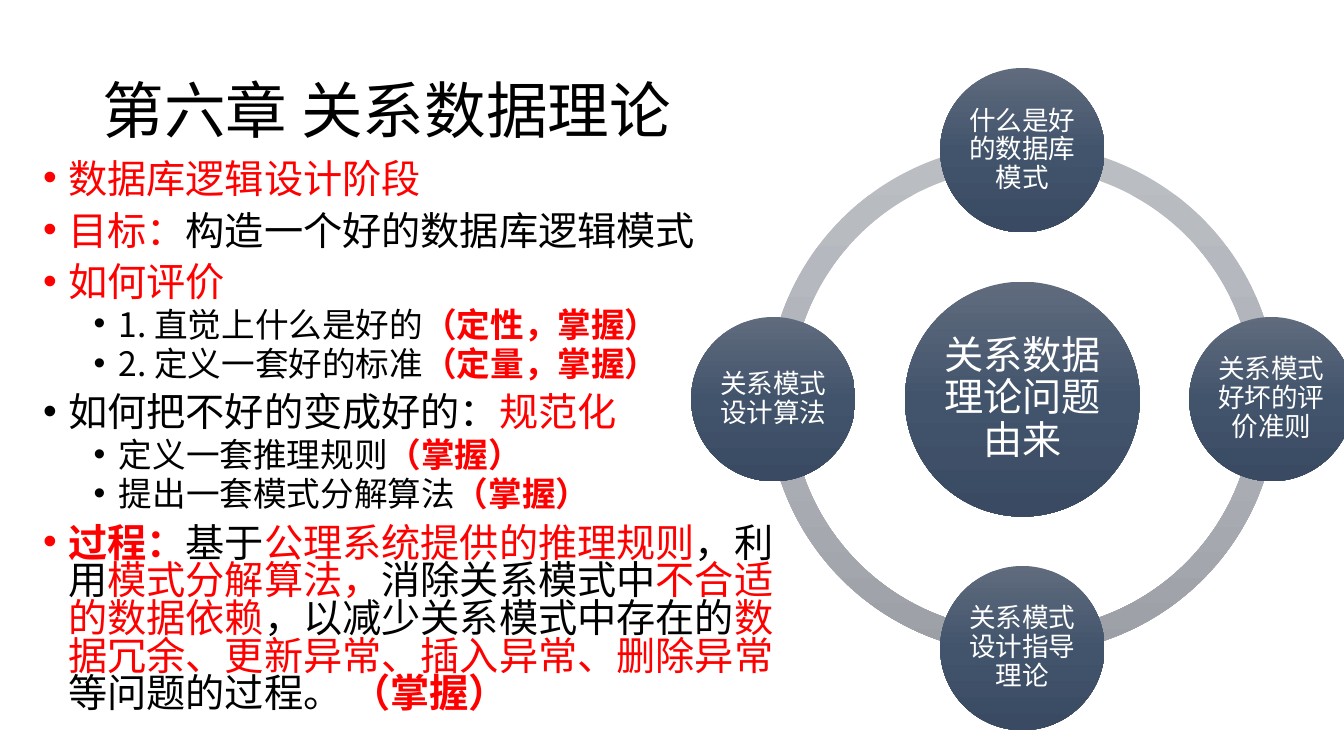
from dataclasses import dataclass
from math import cos, pi, sin

from copy import deepcopy
from lxml.etree import SubElement
from pptx import Presentation
from pptx.dml.color import RGBColor
from pptx.enum.shapes import MSO_SHAPE
from pptx.enum.text import MSO_ANCHOR, PP_ALIGN
from pptx.oxml.ns import qn
from pptx.util import Inches, Pt


@dataclass(frozen=True)
class Theme:
    """Fonts, colours and type sizes."""
    face: str = "Noto Sans CJK SC"
    black: str = "000000"
    red: str = "FF0000"
    white: str = "FFFFFF"
    ring: tuple = ("BABDC2", "B0B3BA", "9C9FA6")
    disc: tuple = ("606B7D", "42546C", "394A62")
    title: int = 44
    body: int = 28
    sub: int = 24
    node: int = 19


class Board:
    """Draws styled elements on one slide."""

    def __init__(self, slide, theme):
        """Keep the slide and its theme."""
        self.slide = slide
        self.theme = theme

    def style(self, para, size, space, color=None):
        """Set the font and line spacing of a paragraph."""
        para.line_spacing = space
        font = para.font
        font.size = Pt(size)
        if color:
            font.color.rgb = RGBColor.from_string(color)
        font.name = self.theme.face
        props = para._p.pPr.find(qn("a:defRPr"))
        SubElement(props, qn("a:ea"), typeface=self.theme.face)

    def box(self, left, top, width, height, anchor):
        """Add a wrapping text box and return its frame."""
        area = [Inches(n) for n in (left, top, width, height)]
        frame = self.slide.shapes.add_textbox(*area).text_frame
        frame.word_wrap = True
        frame.vertical_anchor = anchor
        return frame

    def title(self, text, *area):
        """Add the heading."""
        para = self.box(*area, MSO_ANCHOR.MIDDLE).paragraphs[0]
        para.text = text
        self.style(para, self.theme.title, 0.9, self.theme.black)

    def bullets(self, items, *area):
        """Add a list of (level, runs); a run is (text, colour, bold)."""
        frame = self.box(*area, MSO_ANCHOR.TOP)
        for i, (level, runs) in enumerate(items):
            para = frame.add_paragraph() if i else frame.paragraphs[0]
            para.level = level
            props = para._p.get_or_add_pPr()
            props.set("marL", str(Inches(0.25 + level * 0.5)))
            props.set("indent", str(Inches(-0.25)))
            SubElement(props, qn("a:buFont"), typeface="Arial")
            SubElement(props, qn("a:buChar"), char="•")
            para.space_before = Pt(5 if level else 10)
            self.style(para, self.theme.sub if level else self.theme.body, 0.8)
            for text, color, bold in runs:
                run = para.add_run()
                run.text = text
                run.font.color.rgb = RGBColor.from_string(color)
                run.font.bold = bold

    def shape(self, kind, x, y, size, colors):
        """Add a square shape centred on x, y with a downward gradient."""
        left, top = Inches(x - size / 2), Inches(y - size / 2)
        shape = self.slide.shapes.add_shape(
            kind, left, top, Inches(size), Inches(size))
        shape.shadow.inherit = False
        shape.line.fill.background()
        shape.fill.gradient()
        shape.fill.gradient_angle = 270
        stops = shape.fill._xPr.find(qn("a:gradFill")).find(qn("a:gsLst"))
        stops.append(deepcopy(stops[0]))
        for i, (stop, color) in enumerate(zip(shape.fill.gradient_stops, colors)):
            stop.position = i / 2
            stop.color.rgb = RGBColor.from_string(color)
        return shape

    def arc(self, x, y, size, start):
        """Add a quarter of the ring from a start angle in degrees."""
        arc = self.shape(MSO_SHAPE.BLOCK_ARC, x, y, size, self.theme.ring)
        ends = [angle % 360 * 0.6 for angle in (start, start + 90)]
        for i, value in enumerate((*ends, 0.046)):
            arc.adjustments[i] = value

    def disc(self, text, x, y, size, points, inset):
        """Add a labelled circle."""
        disc = self.shape(MSO_SHAPE.OVAL, x, y, size, self.theme.disc)
        frame = disc.text_frame
        frame.word_wrap = True
        frame.vertical_anchor = MSO_ANCHOR.MIDDLE
        frame.margin_left = frame.margin_right = Inches(inset)
        frame.margin_top = frame.margin_bottom = Inches(inset)
        para = frame.paragraphs[0]
        para.text = text
        para.alignment = PP_ALIGN.CENTER
        self.style(para, points, 0.9, self.theme.white)


THEME = Theme()


def plain(text):
    """Black run."""
    return text, THEME.black, False


def red(text):
    """Red run."""
    return text, THEME.red, False


def bold(text):
    """Bold red run."""
    return text, THEME.red, True


POINTS = [
    (0, [red("数据库逻辑设计阶段")]),
    (0, [red("目标："), plain("构造一个好的数据库逻辑模式")]),
    (0, [red("如何评价")]),
    (1, [plain("1. 直觉上什么是好的"), bold("（定性，掌握）")]),
    (1, [plain("2. 定义一套好的标准"), bold("（定量，掌握）")]),
    (0, [plain("如何把不好的变成好的："), red("规范化")]),
    (1, [plain("定义一套推理规则"), bold("（掌握）")]),
    (1, [plain("提出一套模式分解算法"), bold("（掌握）")]),
    (0, [bold("过程："), plain("基于"), red("公理系统提供的推理规则"),
         plain("，利用"), red("模式分解算法，"), plain("消除关系模式中"),
         red("不合适的数据依赖"), plain("，以减少关系模式中存在的"),
         red("数据冗余、更新异常、插入异常、删除异常"),
         plain("等问题的过程。 "), bold("（掌握）")]),
]
TOPICS = ["什么是好的数据库模式", "关系模式好坏的评价准则",
          "关系模式设计指导理论", "关系模式设计算法"]
HUB = (10.14, 3.96)
ORBIT = 2.47


def main():
    """Build and save the slide."""
    deck = Presentation()
    deck.slide_width, deck.slide_height = Inches(13.33), Inches(7.5)
    board = Board(deck.slides.add_slide(deck.slide_layouts[6]), THEME)
    board.title("第六章 关系数据理论", 0.92, 0.4, 11.5, 1.45)
    for start in range(0, 360, 90):
        board.arc(*HUB, 5.06, start)
    board.disc("关系数据理论问题由来", *HUB, 2.33, THEME.body, 0.04)
    for i, topic in enumerate(TOPICS):
        turn = i * pi / 2
        x, y = HUB[0] + ORBIT * sin(turn), HUB[1] - ORBIT * cos(turn)
        board.disc(topic, x, y, 1.63, THEME.node, 0.03)
    board.bullets(POINTS, 0.33, 1.57, 7.69, 5.79)
    deck.save("out.pptx")


main()
